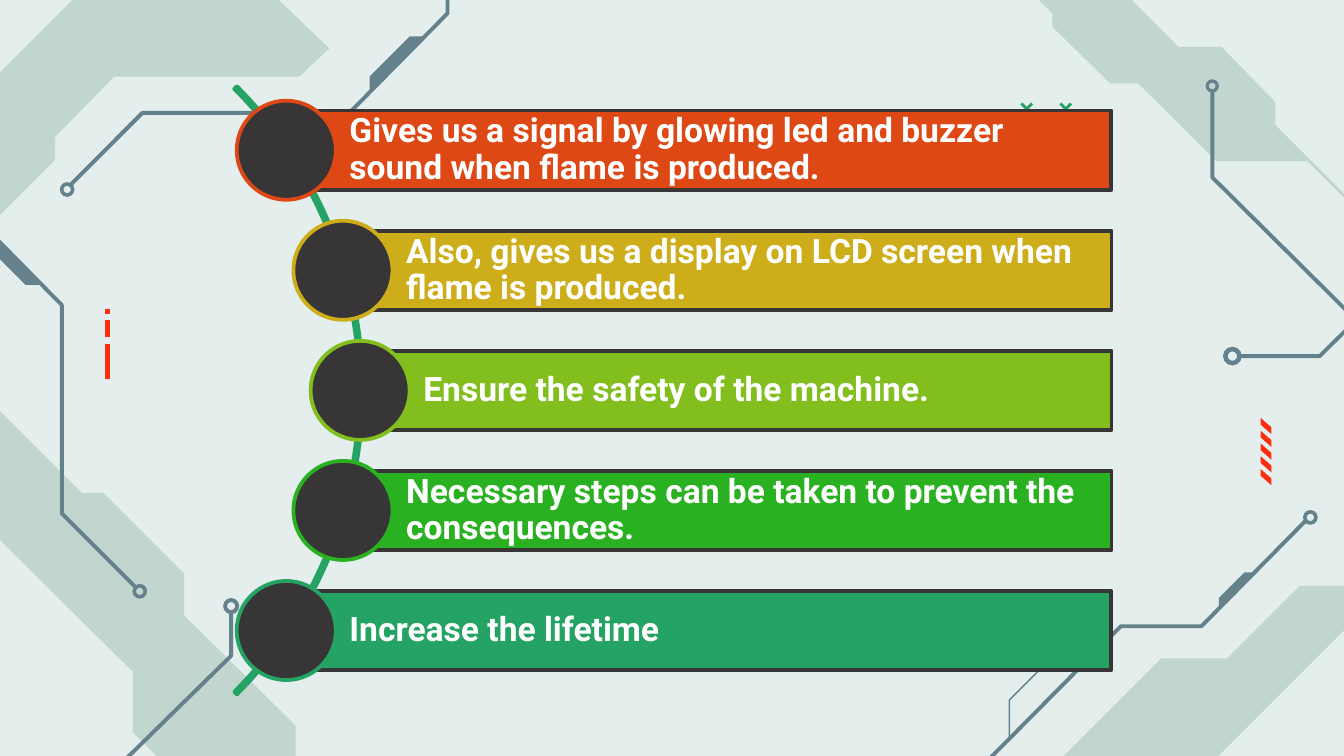
"""Build a slide of five fanned-out statements on a circuit background."""
import math
from dataclasses import dataclass

from pptx import Presentation
from pptx import util as u
from pptx.dml.color import RGBColor
from pptx.enum import shapes as es, text as et


@dataclass(frozen=True)
class Theme:
    """Colours, font and point sizes of the slide."""
    back: str = "E3EEED"
    panel: str = "C1D6CE"
    trace: str = "64818C"
    alert: str = "FC2E12"
    accent: str = "24A364"
    dark: str = "383536"
    white: str = "FFFFFF"
    font: str = "Roboto"
    size: float = 18
    line: float = 2
    wire: float = 2.1
    thin: float = 0.75


T = Theme()
COLS = 10
ROWS = COLS * 9 / 16
COL = ROW = u.Inches(1)
ITEMS = [
    ("Gives us a signal by glowing led and buzzer sound when flame is produced.", "DD4815"),
    ("Also, gives us a display on LCD screen when flame is produced.", "CEAD1A"),
    ("Ensure the safety of the machine.", "82BF1E"),
    ("Necessary steps can be taken to prevent the consequences.", "29B121"),
    ("Increase the lifetime", T.accent),
]


def style(sp, fill=None, line=None, width=T.line):
    """Set fill and line, or clear them, and drop the shadow."""
    sp.shadow.inherit = False
    for part, color in ((sp.fill, fill), (sp.line.fill, line)):
        if color:
            part.solid()
            part.fore_color.rgb = RGBColor.from_string(color)
        else:
            part.background()
    if line:
        sp.line.width = u.Pt(width)
    return sp


def preset(s, kind, x, y, w, h, **look):
    """Add a preset shape measured in columns and rows."""
    lengths = (int(x * COL), int(y * ROW), int(w * COL), int(h * ROW))
    return style(s.shapes.add_shape(kind, *lengths), **look)


def outline(s, box, points, close=True, **look):
    """Draw a polygon or open line through points relative to the box."""
    pts = [(round((box[0] + x) * COL), round((box[1] + y) * ROW)) for x, y in points]
    fb = s.shapes.build_freeform(*pts[0], scale=1.0)
    fb.add_line_segments(pts[1:], close=close)
    return style(fb.convert_to_shape(), **look)


def circuit(s, box, panels=(), traces=(), chips=(), rings=()):
    """Draw one region of panels, wires, chips and ring ends."""
    for points in panels:
        outline(s, box, points, fill=T.panel)
    for points, width in traces:
        outline(s, box, points, close=False, line=T.trace, width=width)
    for points in chips:
        outline(s, box, points, fill=T.trace)
    for x, y, d in rings:
        ring = preset(s, es.MSO_SHAPE.DONUT, box[0] + x - d / 2, box[1] + y - d / 2, d, d, fill=T.trace)
        ring.adjustments[0] = 0.25


def top_right(s, box):
    """Draw the top right circuit and its small crosses."""
    circuit(
        s, box,
        panels=[[(-2.1, -2.86), (-2.12, -2.85), (0.83, 0.1), (0.83, 0.2), (1.26, 0.62),
                 (1.47, 0.62), (2.05, 1.2), (2.73, 1.2), (5.7, 4.17), (5.72, 4.16),
                 (2.49, 0.93), (2.49, 0.76), (2.09, 0.35), (1.77, 0.35), (1.06, -0.36),
                 (0.4, -0.36)]],
        traces=[([(2.02, 0.67), (2.02, 1.32), (3.3, 2.59), (3.3, 2.98)], T.wire),
                ([(2.21, 2.65), (2.82, 2.65), (4.04, 1.44), (4.41, 1.44)], T.wire)],
        rings=[(2.02, 0.64, 0.1), (2.17, 2.65, 0.14)])
    arm = 0.04
    for x in (0.64, 0.93):
        for rise in (-arm, arm):
            outline(s, box, [(x - arm, 0.81 - rise), (x + arm, 0.81 + rise)],
                    close=False, line=T.accent, width=1.5)


def top_left(s, box):
    """Draw the top left circuit."""
    circuit(
        s, box,
        panels=[[(-2.7, 4.3), (-2.72, 4.28), (-0.03, 1.59), (-0.03, 0.57), (1.67, -1.13),
                 (4.17, -3.63), (4.19, -3.61), (1.75, -1.18), (1.75, -0.31), (2.45, 0.36),
                 (2.23, 0.57), (0.85, 0.57), (0.41, 1.02), (0.41, 1.19), (-0.03, 1.63)]],
        traces=[([(3.96, -1.06), (3.33, -1.06), (3.33, 0.1), (2.6, 0.84), (1.06, 0.84),
                  (0.52, 1.38)], T.wire)],
        chips=[[(3.18, 0.27), (3.05, 0.27), (2.75, 0.57), (2.75, 0.69)]],
        rings=[(0.5, 1.41, 0.11)])


def bottom_left(s, box):
    """Draw the bottom left circuit and its dashed mark."""
    circuit(
        s, box,
        panels=[[(-0.03, 1.99), (0.99, 3), (0.99, 3.45), (1.57, 4.03), (1.83, 4.03),
                 (2.2, 4.39), (2.2, 3.4), (1.37, 2.58), (1.37, 2.27), (0.77, 1.67),
                 (0.61, 1.67), (-0.03, 1.03)]],
        traces=[([(-1.46, -1.1), (-1.46, -0.48), (-0.28, -0.48), (0.46, 0.27), (0.46, 1.82),
                  (1.02, 2.38)], T.wire),
                ([(1.72, 2.55), (1.72, 2.88), (0.68, 3.9), (0.68, 4.42)], T.wire)],
        chips=[[(-0.12, -0.31), (-0.12, -0.19), (0.19, 0.12), (0.32, 0.12)]],
        rings=[(1.04, 2.4, 0.11), (1.72, 2.51, 0.12)])
    for y, h in ((0.3, 0.04), (0.38, 0.13), (0.56, 0.26)):
        outline(s, box, [(0.78, y), (0.82, y), (0.82, y + h), (0.78, y + h)], fill=T.alert)


def bottom_right(s, box):
    """Draw the bottom right circuit and its slanted marks."""
    circuit(
        s, box,
        panels=[[(2.67, 1.36), (2.13, 1.9), (1.64, 1.9), (0.54, 3), (1.57, 3.01),
                 (1.89, 2.69), (2, 2.69), (3.33, 1.36)]],
        traces=[([(2.72, 0.87), (1.94, 1.66), (1.34, 1.66), (0.28, 2.73), (0.28, 3.44)], T.wire),
                ([(1.16, 1.86), (0.86, 1.86), (0.51, 2.21), (0.51, 2.5)], T.thin)],
        chips=[[(2.33, 1.26), (2.07, 1.52), (2.07, 1.45), (2.26, 1.26)]],
        rings=[(2.75, 0.85, 0.11)])
    pitch = 0.38 / 4
    for i in range(5):
        y = 0.11 + pitch * i
        outline(s, box, [(2.38, y), (2.46, y + 0.07), (2.46, y + 0.12), (2.38, y + 0.05)],
                fill=T.alert)


def statement(s, box, words, color):
    """Add one bar with its words and the disc at its left end."""
    x, y, w, h = box
    sp = preset(s, es.MSO_SHAPE.RECTANGLE, *box, fill=color, line=T.dark)
    tf = sp.text_frame
    frame = dict(word_wrap=True, vertical_anchor=et.MSO_ANCHOR.MIDDLE,
                 margin_left=u.Inches(0.47), margin_right=u.Inches(0.05),
                 margin_top=u.Inches(0.05), margin_bottom=u.Inches(0.05))
    for name, value in frame.items():
        setattr(tf, name, value)
    p = tf.paragraphs[0]
    p.alignment, p.line_spacing = et.PP_ALIGN.LEFT, 0.9
    r = p.add_run()
    r.text = words
    for name, value in dict(name=T.font, size=u.Pt(T.size), bold=True).items():
        setattr(r.font, name, value)
    r.font.color.rgb = RGBColor.from_string(T.white)
    d = 1.25 * h
    preset(s, es.MSO_SHAPE.OVAL, x - d / 2, y + (h - d) / 2, d, d, fill=T.dark, line=color)


def fan(s, box, items):
    """Spread the statements along an arc that bulges into the box."""
    x, y, w, h = box
    radius, pitch = 3.2, h / (len(items) - 0.4)
    bar = 0.66 * pitch
    cx, cy = x + w - 8.77, y + h / 2
    arc = preset(s, es.MSO_SHAPE.BLOCK_ARC, cx - radius, cy - radius, 2 * radius, 2 * radius,
                 line=T.accent)
    for i, value in enumerate((189, 27, 0.0044)):
        arc.adjustments[i] = value
    for i, (words, color) in enumerate(items):
        dy = (i - (len(items) - 1) / 2) * pitch
        left = cx + math.sqrt((radius - 0.02) ** 2 - dy ** 2)
        statement(s, (left, cy + dy - bar / 2, x + w - left, bar), words, color)


def main():
    """Build and save the slide."""
    prs = Presentation()
    prs.slide_width, prs.slide_height = int(COLS * COL), int(ROWS * ROW)
    s = prs.slides.add_slide(prs.slide_layouts[6])
    s.background.fill.solid()
    s.background.fill.fore_color.rgb = RGBColor.from_string(T.back)
    for region, box in ((top_right, (7, 0)), (bottom_left, (0, 2)),
                        (top_left, (0, 0)), (bottom_right, (7, 3))):
        region(s, box)
    fan(s, (1.74, 0.85, 6.53, 4.11), ITEMS)
    prs.save("out.pptx")


if __name__ == "__main__":
    main()
